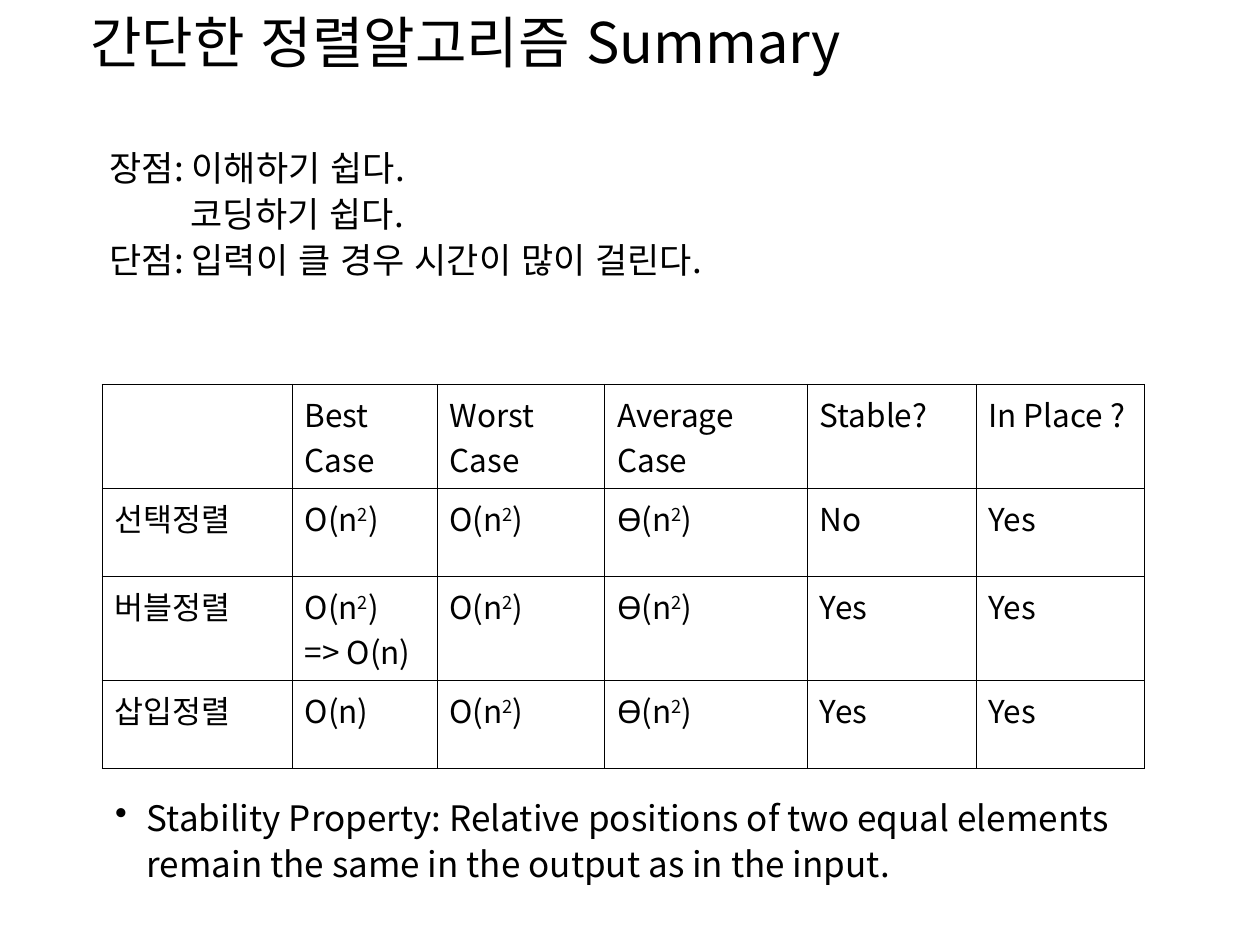
from dataclasses import dataclass

from lxml import etree
from pptx import Presentation, util as u
from pptx.dml.color import RGBColor
from pptx.enum import lang, text
from pptx.oxml import ns


@dataclass(frozen=True)
class Theme:
    font: str = "Noto Sans CJK KR"
    ink: str = "000000"
    paper: str = "FFFFFF"
    title: float = 32
    body: float = 20
    cell: float = 18
    rule: float = 0.45


@dataclass(frozen=True)
class Line:
    words: str
    left: float = 0
    hang: float = 0
    bullet: str = ""


@dataclass(frozen=True)
class Box:
    left: float
    top: float
    width: float
    height: float
    size: float
    lines: tuple
    lead: float = 1
    anchor: text.MSO_ANCHOR = text.MSO_ANCHOR.TOP


THEME = Theme()

BOXES = (
    Box(44.6, 0.7, 637, 54, THEME.title,
        (Line("간단한 정렬알고리즘 Summary"),)),
    Box(58.8, 434.2, 612, 90, THEME.body,
        (Line("Stability Property: Relative positions of two equal elements "
              "remain the same in the output as in the input.",
              18, 18, "•"),),
        lead=1.1, anchor=text.MSO_ANCHOR.MIDDLE),
    Box(46.1, 77.8, 612, 86.4, THEME.body,
        (Line("장점: 이해하기 쉽다.", 45.4, 36),
         Line("코딩하기 쉽다.", 85.8, 30),
         Line("단점: 입력이 클 경우 시간이 많이 걸린다.", 45.4, 36)),
        lead=1.1),
)

LEFT, TOP = 58.3, 219.6
COLS = (108.6, 82.8, 95.8, 115.8, 96.4, 96.2)
ROWS = (59.4, 50.4, 59.4, 50.4)
CELLS = (
    ("", "Best Case", "Worst Case", "Average Case", "Stable?", "In Place ?"),
    ("선택정렬", "O(n²)", "O(n²)", "Ө(n²)", "No", "Yes"),
    ("버블정렬", "O(n²)\n=> O(n)", "O(n²)", "Ө(n²)", "Yes", "Yes"),
    ("삽입정렬", "O(n)", "O(n²)", "Ө(n²)", "Yes", "Yes"),
)


def add_run(para, words: str, size: float, base: int = 0) -> None:
    run = para.add_run()
    run.text = words
    run.font.size = u.Pt(size)
    run.font.name = THEME.font
    run.font.language_id = lang.MSO_LANGUAGE_ID.KOREAN
    run.font.color.rgb = RGBColor.from_string(THEME.ink)
    props = run.font._element
    etree.SubElement(props, ns.qn("a:ea")).set("typeface", THEME.font)
    if base:
        props.set("baseline", str(base * 1000))


def add_math(para, words: str, size: float) -> None:
    """Write words with a square sign as a raised 2."""
    head, mark, tail = words.partition("²")
    add_run(para, head, size)
    if mark:
        add_run(para, "2", size, 30)
        add_run(para, tail, size)


def set_dent(para, line: Line) -> None:
    """Set the left margin, hanging indent and bullet."""
    props = para._p.get_or_add_pPr()
    props.set("marL", str(u.Pt(line.left)))
    props.set("indent", str(u.Pt(-line.hang)))
    kind = "a:buChar" if line.bullet else "a:buNone"
    mark = etree.SubElement(props, ns.qn(kind))
    if line.bullet:
        mark.set("char", line.bullet)


def set_pad(area) -> None:
    """Set the same inner margins on a text frame or a cell."""
    area.margin_left = area.margin_right = u.Pt(7.2)
    area.margin_top = area.margin_bottom = u.Pt(3.6)


def add_box(slide, box: Box) -> None:
    shape = slide.shapes.add_textbox(
        *map(u.Pt, (box.left, box.top, box.width, box.height)))
    frame = shape.text_frame
    frame.word_wrap = True
    frame.vertical_anchor = box.anchor
    set_pad(frame)
    for i, line in enumerate(box.lines):
        para = frame.add_paragraph() if i else frame.paragraphs[0]
        set_dent(para, line)
        para.line_spacing = box.lead
        add_run(para, line.words, box.size)


def add_rules(cell) -> None:
    """Put a thin line on each side of a cell, ahead of its fill."""
    props = cell._tc.get_or_add_tcPr()
    for i, side in enumerate("LRTB"):
        rule = etree.Element(ns.qn(f"a:ln{side}"))
        rule.set("w", str(u.Pt(THEME.rule)))
        fill = etree.SubElement(rule, ns.qn("a:solidFill"))
        etree.SubElement(fill, ns.qn("a:srgbClr")).set("val", THEME.ink)
        props.insert(i, rule)


def fill_cell(cell, words: str) -> None:
    cell.fill.solid()
    cell.fill.fore_color.rgb = RGBColor.from_string(THEME.paper)
    set_pad(cell)
    add_rules(cell)
    frame = cell.text_frame
    for i, line in enumerate(words.splitlines()):
        para = frame.add_paragraph() if i else frame.paragraphs[0]
        add_math(para, line, THEME.cell)


def add_grid(slide) -> None:
    grid = slide.shapes.add_table(
        len(ROWS), len(COLS),
        *map(u.Pt, (LEFT, TOP, sum(COLS), sum(ROWS)))).table
    grid.first_row = grid.horz_banding = False
    for col, width in zip(grid.columns, COLS):
        col.width = u.Pt(width)
    for row, height, items in zip(grid.rows, ROWS, CELLS):
        row.height = u.Pt(height)
        for cell, words in zip(row.cells, items):
            fill_cell(cell, words)


def main() -> None:
    deck = Presentation()
    deck.slide_width, deck.slide_height = u.Pt(720), u.Pt(540)
    slide = deck.slides.add_slide(deck.slide_layouts[6])
    title, note, points = BOXES
    add_box(slide, title)
    add_grid(slide)
    add_box(slide, note)
    add_box(slide, points)
    deck.save("out.pptx")


if __name__ == "__main__":
    main()
